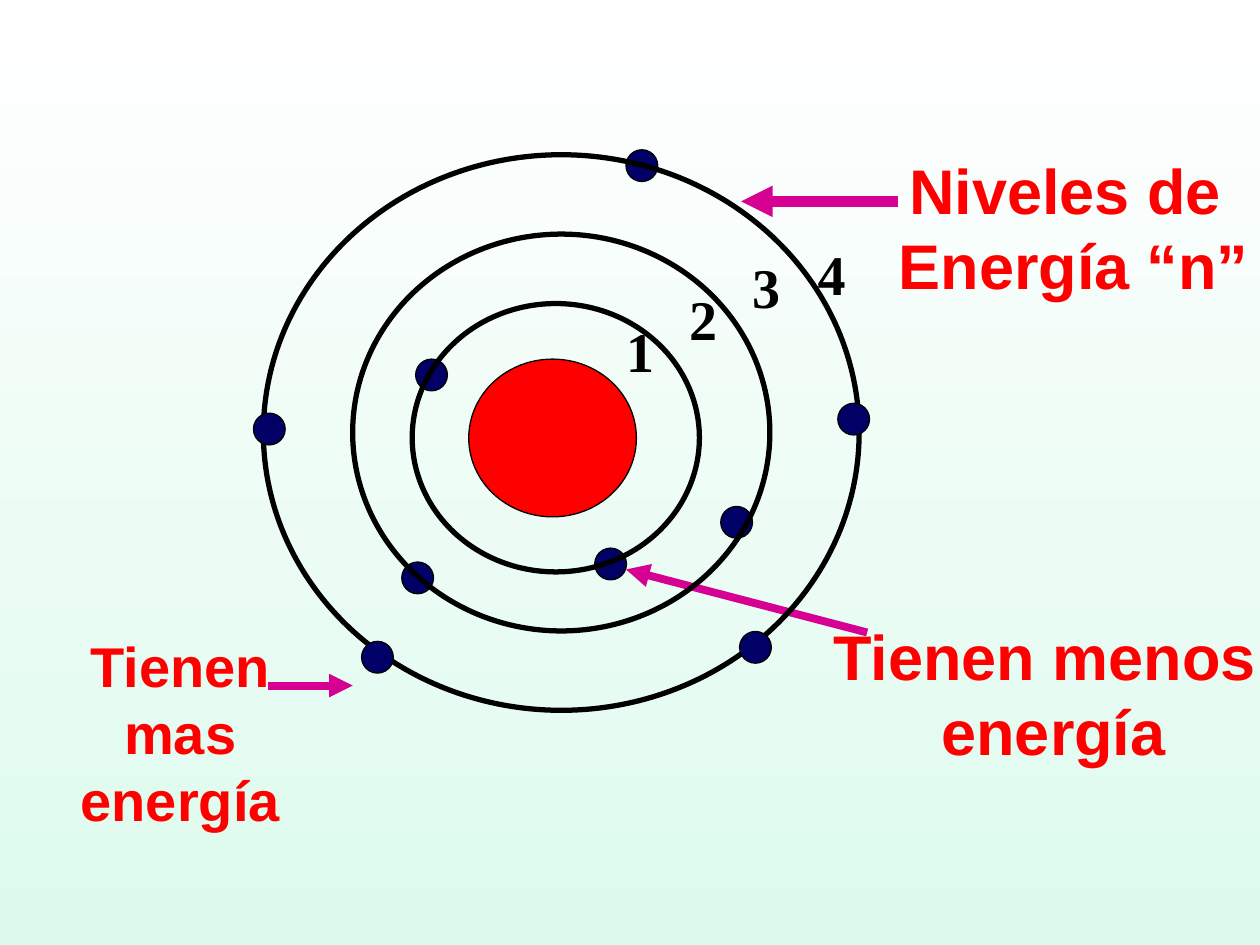
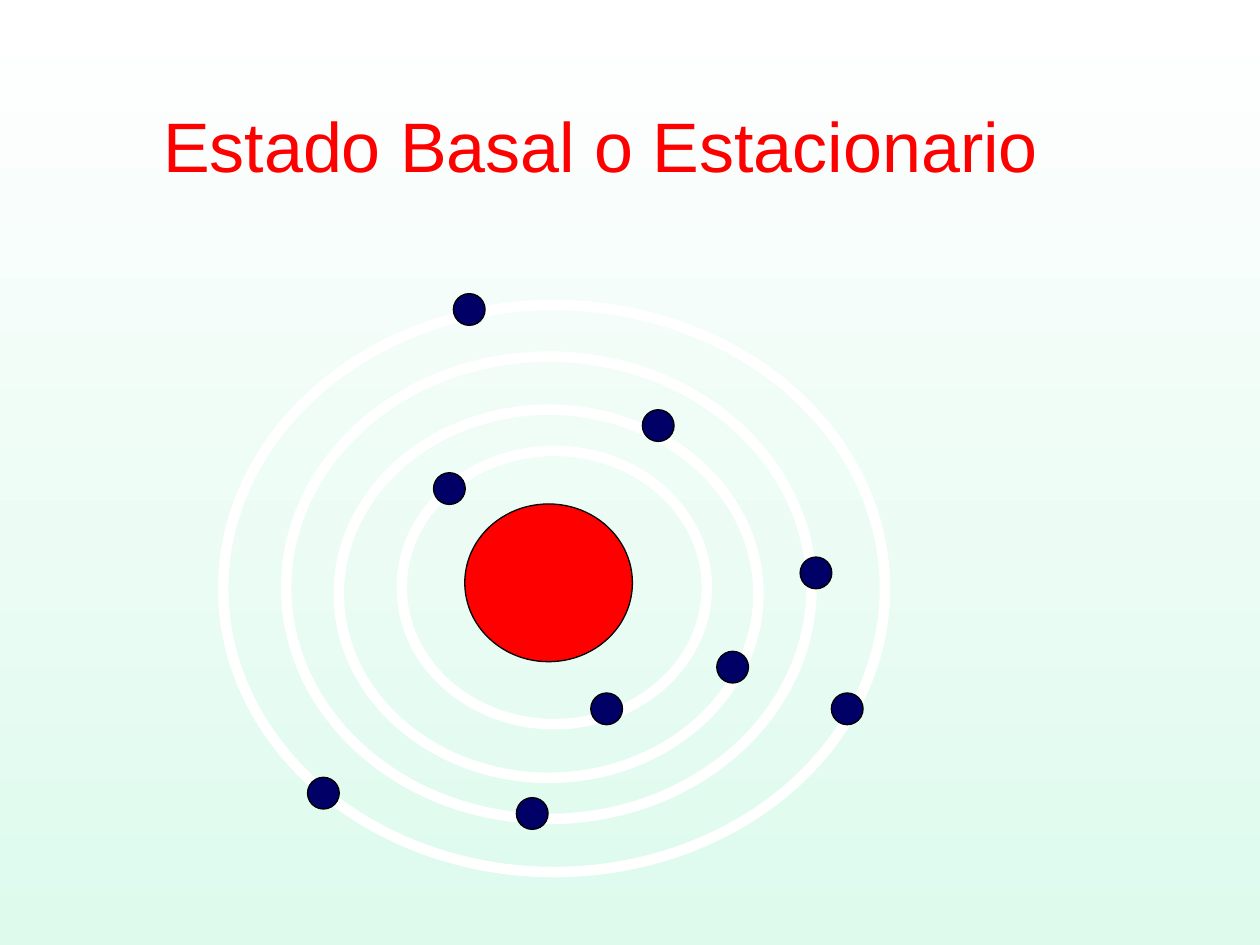
from lxml import etree
from pptx import Presentation
from pptx.dml.color import RGBColor
from pptx.enum.shapes import MSO_CONNECTOR, MSO_SHAPE
from pptx.enum.text import MSO_ANCHOR, MSO_AUTO_SIZE, PP_ALIGN
from pptx.oxml.ns import qn
from pptx.util import Cm, Pt

OVAL = MSO_SHAPE.OVAL
STRAIGHT = MSO_CONNECTOR.STRAIGHT
CENTER = PP_ALIGN.CENTER
MIDDLE = MSO_ANCHOR.MIDDLE
FIT_SHAPE = MSO_AUTO_SIZE.SHAPE_TO_FIT_TEXT

COLORS = {
    "sky": "FFFFFF",
    "mint": "DDFAED",
    "label": "FF0000",
    "nucleus": "FF0000",
    "electron": "000066",
    "arrow": "D60093",
    "black": "000000",
    "white": "FFFFFF",
}
NUCLEUS_SIZE = (3.38, 3.18)
ELECTRON_SIZE = (0.64, 0.64)
NUMBER_SIZE = (1.07, 1.63)


def color(name):
    return RGBColor.from_string(COLORS[name])


class AtomDeck:
    def __init__(self):
        self.deck = Presentation()
        self.deck.slide_width, self.deck.slide_height = Cm(25.4), Cm(19.05)
        fill = self.deck.slide_master.background.fill
        fill.gradient()
        fill.gradient_angle = 270
        for stop, name in zip(fill.gradient_stops, ("sky", "mint")):
            stop.color.rgb = color(name)

    def new_page(self):
        self.page = self.deck.slides.add_slide(self.deck.slide_layouts[6])
        self.shapes = self.page.shapes

    def start_group(self):
        """Put the elements that follow on this page into one group."""
        self.shapes = self.page.shapes.add_group_shape().shapes

    def oval(self, left, top, width, height, fill=None, line="black", weight=0.75):
        oval = self.shapes.add_shape(OVAL, Cm(left), Cm(top), Cm(width), Cm(height))
        oval.shadow.inherit = False
        if fill:
            oval.fill.solid()
            oval.fill.fore_color.rgb = color(fill)
        else:
            oval.fill.background()
        oval.line.color.rgb = color(line)
        oval.line.width = Pt(weight)

    def nucleus(self, left, top):
        self.oval(left, top, *NUCLEUS_SIZE, fill="nucleus")

    def electrons(self, places):
        for left, top in places:
            self.oval(left, top, *ELECTRON_SIZE, fill="electron")

    def orbits(self, frames, line, weight):
        for frame in frames:
            self.oval(*frame, line=line, weight=weight)

    def arrow(self, start, tip, weight):
        arrow = self.shapes.add_connector(
            STRAIGHT, *(Cm(length) for length in start + tip))
        arrow.line.color.rgb = color("arrow")
        arrow.line.width = Pt(weight)
        etree.SubElement(arrow.line._get_or_add_ln(), qn("a:tailEnd"), type="triangle")
        etree.SubElement(arrow._element.spPr, qn("a:effectLst"))

    def text(self, text, left, top, width, height, size, name="label",
             font="Arial", bold=True):
        box = self.shapes.add_textbox(Cm(left), Cm(top), Cm(width), Cm(height))
        frame = box.text_frame
        frame.text = text
        frame.word_wrap = False
        frame.auto_size = FIT_SHAPE
        for para in frame.paragraphs:
            para.alignment = CENTER
            for span in para.runs:
                span.font.name = font
                span.font.size = Pt(size)
                span.font.bold = bold
                span.font.color.rgb = color(name)
        return frame

    def title(self, text):
        frame = self.text(text, 0.89, 0.91, 22.43, 3.99, 40, bold=False)
        frame.auto_size = MSO_AUTO_SIZE.NONE
        frame.word_wrap = True
        frame.vertical_anchor = MIDDLE

    def level_number(self, number, left, top):
        self.text(str(number), left, top, *NUMBER_SIZE, 32, "black", "Times New Roman")


def energy_levels(atom):
    atom.new_page()
    atom.nucleus(9.45, 7.24)
    atom.electrons([(11.99, 11.05), (14.53, 10.21), (8.38, 7.24),
                    (12.62, 3.02), (8.1, 11.33)])
    atom.arrow((18.11, 4.06), (14.94, 4.06), 6)
    atom.text("Niveles de \nEnergía “n”", 17.86, 2.92, 7.57, 3.3, 36)
    atom.text("Tienen menos \nenergía", 16.54, 12.32, 9.4, 3.3, 36)
    atom.arrow((17.48, 12.75), (12.62, 11.48), 4.5)
    atom.arrow((5.41, 13.82), (7.11, 13.82), 4.5)
    more_energy = atom.text("Tienen\nmas\nenergía", 0.46, 12.6, 5.46, 4.32, 32)
    more_energy.margin_left = Cm(1.14)
    for step in range(3):
        atom.level_number(step + 1, 12.37 + 1.27 * step, 6.25 - 0.64 * step)
    atom.level_number(4, 16.23, 4.7)
    atom.orbits([(5.31, 3.12, 12.01, 11.2)], "black", 3)
    atom.electrons([(5.11, 8.33), (7.29, 12.93), (14.91, 12.73)])
    atom.orbits([(8.31, 6.12, 5.79, 5.41), (7.11, 4.72, 8.41, 8)], "black", 3)
    atom.electrons([(16.89, 8.13)])


def ground_state(atom):
    atom.new_page()
    atom.title("Estado Basal o Estacionario")
    atom.start_group()
    atom.nucleus(9.37, 10.16)
    atom.orbits([(6.83, 8.26, 8.46, 7.42), (5.77, 7.19, 10.59, 9.32),
                 (4.5, 6.15, 13.34, 11.43), (8.1, 9.09, 6.15, 5.51)], "white", 6)
    atom.electrons([(11.91, 13.97), (14.45, 13.13), (16.13, 11.23),
                    (16.76, 13.97), (12.95, 8.26), (10.41, 16.08),
                    (6.2, 15.67), (8.74, 9.53), (9.14, 5.92)])


def main():
    atom = AtomDeck()
    energy_levels(atom)
    ground_state(atom)
    atom.deck.save("out.pptx")


if __name__ == "__main__":
    main()
